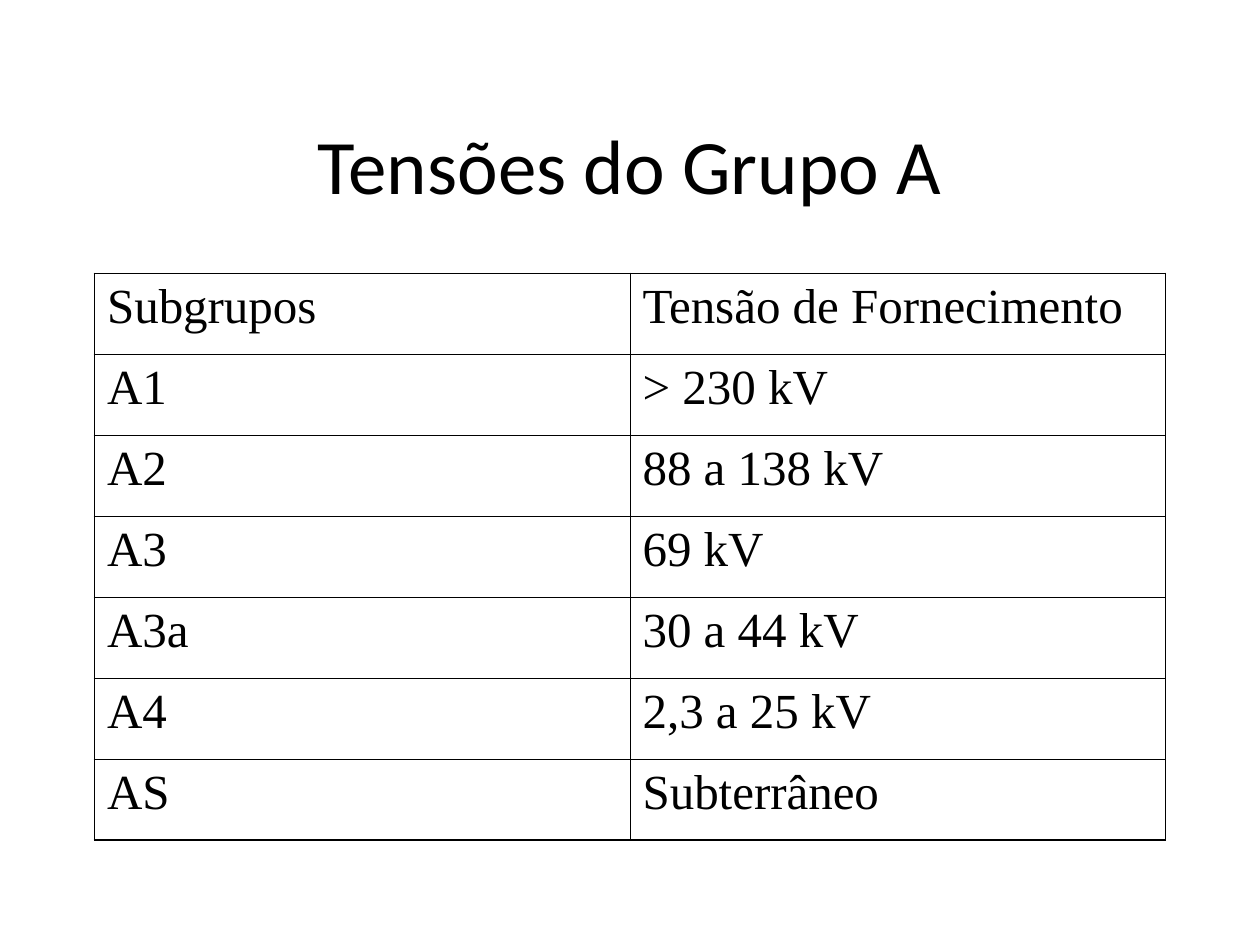
import pptx
import pptx.dml.color
import pptx.enum.text
import pptx.oxml.ns
import pptx.util
from lxml import etree

Inches = pptx.util.Inches
Pt = pptx.util.Pt
BLACK = pptx.dml.color.RGBColor(0, 0, 0)
THICK, THIN = Pt(1.08), Pt(0.45)
VOLTAGES = [
    ("Subgrupos", "Tensão de Fornecimento"),
    ("A1", "> 230 kV"),
    ("A2", "88 a 138 kV"),
    ("A3", "69 kV"),
    ("A3a", "30 a 44 kV"),
    ("A4", "2,3 a 25 kV"),
    ("AS", "Subterrâneo"),
]


class SlideBuilder:
    title_font = {"name": "Calibri", "size": Pt(44)}
    table_font = {"name": "Times New Roman", "size": Pt(28)}

    def __init__(self, page):
        self.page = page

    def add_text(self, frame, text, font, paragraph_format):
        para = frame.paragraphs[0]
        span = para.add_run()
        span.text = text
        span.font.color.rgb = BLACK
        for target, values in ((span.font, font), (para, paragraph_format)):
            for name, value in values.items():
                setattr(target, name, value)

    def title(self, text, left, top, width, height):
        box = self.page.shapes.add_textbox(left, top, width, height)
        box.text_frame.word_wrap = True
        box.text_frame.vertical_anchor = pptx.enum.text.MSO_ANCHOR.MIDDLE
        centered = {"alignment": pptx.enum.text.PP_ALIGN.CENTER}
        self.add_text(box.text_frame, text, self.title_font, centered)

    def border(self, cell, side, width):
        qn = pptx.oxml.ns.qn
        properties = cell._tc.get_or_add_tcPr()
        line = etree.SubElement(properties, qn(f"a:ln{side}"), w=str(int(width)))
        fill = etree.SubElement(line, qn("a:solidFill"))
        etree.SubElement(fill, qn("a:srgbClr"), val=str(BLACK))

    def table(self, rows, left, top, width, height):
        last_row, last_column = len(rows) - 1, len(rows[0]) - 1
        frame = self.page.shapes.add_table(
            len(rows), len(rows[0]), left, top, width, height
        )
        table = frame.table
        table.first_row = table.horz_banding = False
        for row, texts in enumerate(rows):
            for column, text in enumerate(texts):
                cell = table.cell(row, column)
                outer = {
                    "L": column == 0,
                    "R": column == last_column,
                    "T": row == 0,
                    "B": row == last_row,
                }
                for side, is_outer in outer.items():
                    self.border(cell, side, THICK if is_outer else THIN)
                cell.fill.background()
                spaced = {"space_before": Pt(7)}
                self.add_text(cell.text_frame, text, self.table_font, spaced)


def main():
    deck = pptx.Presentation()
    deck.slide_width, deck.slide_height = Inches(10), Inches(7.5)
    builder = SlideBuilder(deck.slides.add_slide(deck.slide_layouts[6]))
    left, width = Inches(0.75), Inches(8.5)
    builder.title("Tensões do Grupo A", left, Inches(0.67), width, Inches(1.25))
    builder.table(VOLTAGES, left, Inches(2.17), width, Inches(4.5))
    deck.save("out.pptx")


if __name__ == "__main__":
    main()
